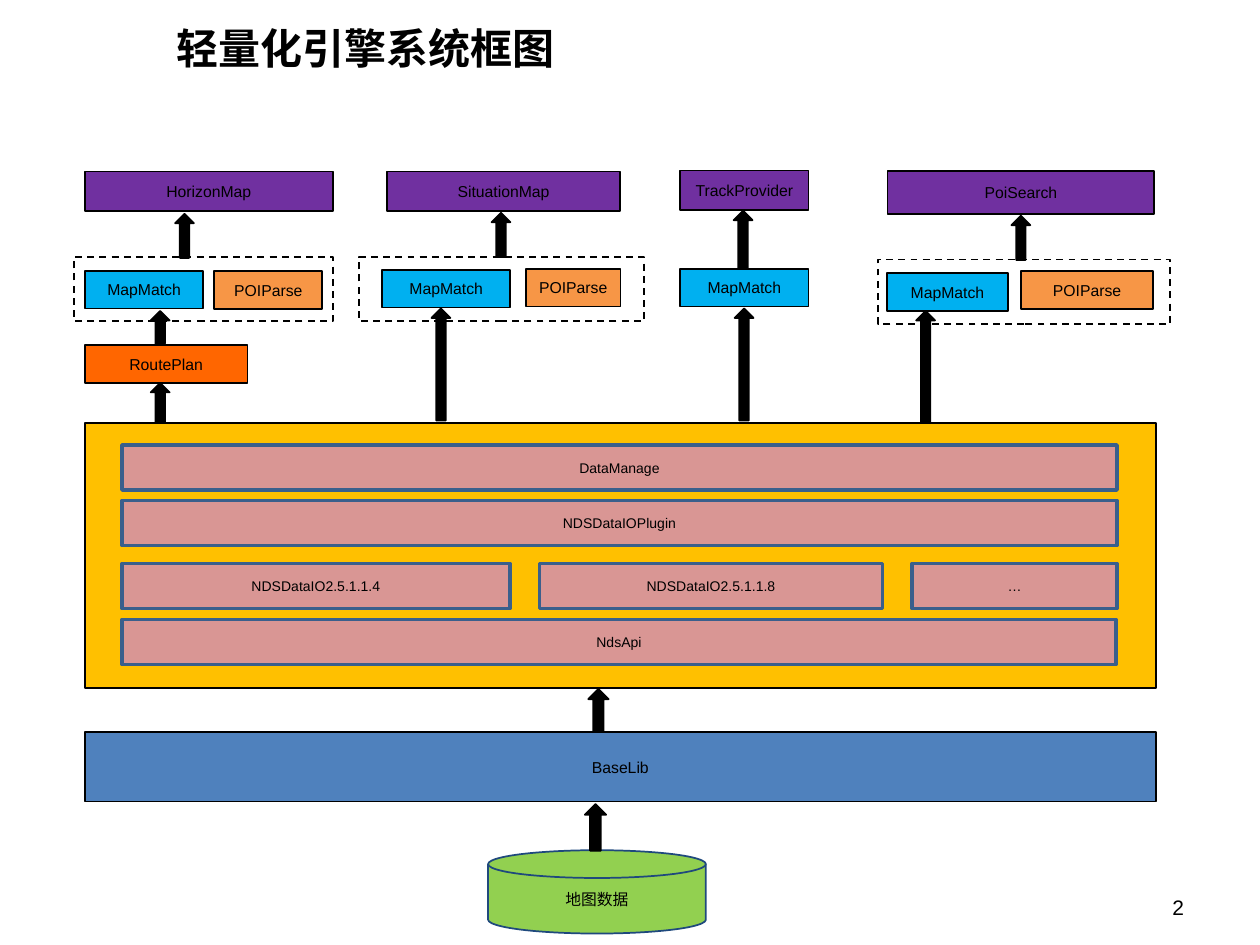
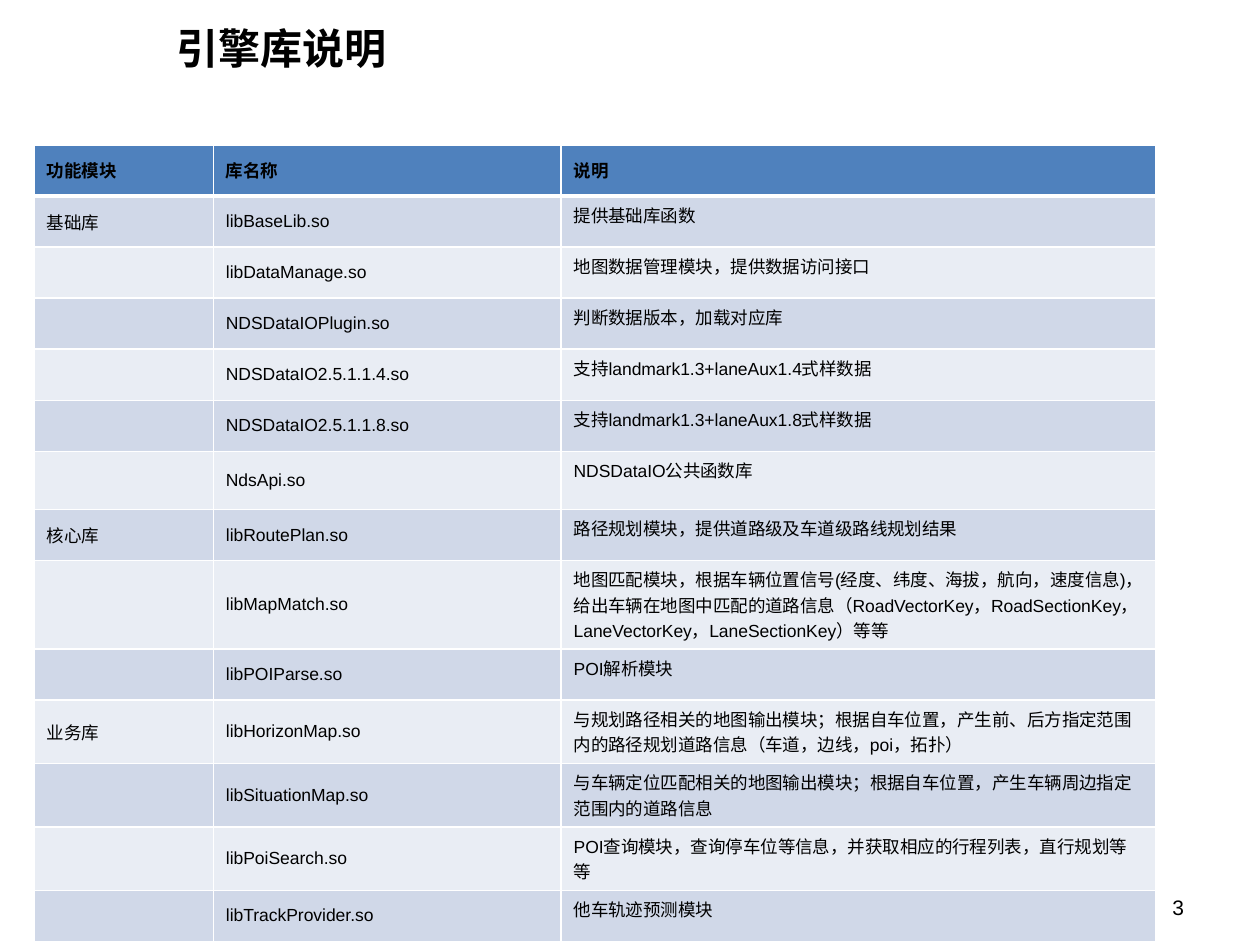
from dataclasses import dataclass
from lxml import etree
from pptx import Presentation, util as u
from pptx.dml.color import RGBColor
from pptx.enum import dml, shapes as sh, text as tx
from pptx.oxml.ns import qn


@dataclass(frozen=True)
class Theme:
    latin: str = "Arial"
    cjk: str = "Noto Sans CJK SC"
    ink: str = "000000"
    white: str = "FFFFFF"
    blue: str = "4F81BD"
    bands: tuple = ("D0D8E8", "E9EDF4")
    app: str = "7030A0"
    match: str = "00B0F0"
    poi: str = "F79646"
    route: str = "FF6600"
    frame: str = "FFC000"
    layer: str = "D99694"
    layer_edge: str = "3A5F8C"
    store: str = "92D050"
    store_edge: str = "1F497D"
    title_size: int = 24
    number_size: int = 12
    table_size: int = 10
    module_size: int = 9
    layer_size: int = 8


T = Theme()
TITLES = ["轻量化引擎系统框图", "引擎库说明"]

APPS = [
    ("HorizonMap", (1.71, 3.46, 5, 0.79)),
    ("SituationMap", (7.8, 3.46, 4.7, 0.79)),
    ("TrackProvider", (13.71, 3.44, 2.59, 0.79)),
    ("PoiSearch", (17.89, 3.45, 5.38, 0.86)),
]
MATCHERS = [(1.71, 5.46, 2.39), (7.7, 5.44, 2.59), (13.71, 5.42, 2.59), (17.88, 5.51, 2.44)]
PARSERS = [(4.32, 5.47, 2.18), (10.6, 5.42, 1.91), (20.58, 5.47, 2.67)]
ROUTE_PLAN = (1.71, 6.96, 3.28)
MODULE_HEIGHT = 0.76
DASHED_GROUPS = [(1.5, 5.18, 5.21), (7.24, 5.18, 5.74), (17.7, 5.23, 5.89)]
DASHED_HEIGHT = 1.3

FRAME = (1.71, 8.53, 21.59, 5.34)
BASE_LIB = (1.71, 14.76, 21.59, 1.4)
MAP_DATA = (9.84, 17.14, 4.39, 1.68)
LAYER_LEFT, LAYER_HEIGHT, LAYER_GAP = 2.46, 0.91, 0.6
LAYERS = [
    (8.97, [("DataManage", 20.06)]),
    (10.09, [("NDSDataIOPlugin", 20.06)]),
    (11.36, [("NDSDataIO2.5.1.1.4", 7.82), ("NDSDataIO2.5.1.1.8", 6.91), ("…", 4.13)]),
    (12.49, [("NdsApi", 20.04)]),
]
ARROW_WIDTH = 0.38
ARROWS = [
    (3.53, 4.31, 0.89), (9.91, 4.29, 0.89), (14.79, 4.25, 1.17), (20.39, 4.35, 0.89),
    (3.04, 7.72, 0.81), (3.04, 6.27, 0.66),
    (8.7, 6.22, 2.26), (14.81, 6.22, 2.26), (18.47, 6.27, 2.24),
]
BASE_ARROWS = [(11.79, 16.21, 0.43, 0.94), (11.86, 13.89, 0.41, 0.86)]

TABLE_AT = (0.69, 2.92)
COLUMN_WIDTHS = [3.61, 7.01, 11.99]
ROW_HEIGHT, TWO_LINE_HEIGHT, THREE_LINE_HEIGHT = 1.03, 1.28, 1.78
TALL_ROWS = {
    "NdsApi.so": 1.17,
    "libMapMatch.so": THREE_LINE_HEIGHT,
    "libHorizonMap.so": TWO_LINE_HEIGHT,
    "libSituationMap.so": TWO_LINE_HEIGHT,
    "libPoiSearch.so": TWO_LINE_HEIGHT,
}
HEADER = ("功能模块", "库名称", "说明")
LIBRARIES = {
    "基础库": [
        ("libBaseLib.so", "提供基础库函数"),
        ("libDataManage.so", "地图数据管理模块，提供数据访问接口"),
        ("NDSDataIOPlugin.so", "判断数据版本，加载对应库"),
        ("NDSDataIO2.5.1.1.4.so", "支持landmark1.3+laneAux1.4式样数据"),
        ("NDSDataIO2.5.1.1.8.so", "支持landmark1.3+laneAux1.8式样数据"),
        ("NdsApi.so", "NDSDataIO公共函数库"),
    ],
    "核心库": [
        ("libRoutePlan.so", "路径规划模块，提供道路级及车道级路线规划结果"),
        ("libMapMatch.so",
         "地图匹配模块，根据车辆位置信号(经度、纬度、海拔，航向，速度信息)，"
         "给出车辆在地图中匹配的道路信息（RoadVectorKey，RoadSectionKey，"
         "LaneVectorKey，LaneSectionKey）等等"),
        ("libPOIParse.so", "POI解析模块"),
    ],
    "业务库": [
        ("libHorizonMap.so",
         "与规划路径相关的地图输出模块；根据自车位置，产生前、后方指定范围内的"
         "路径规划道路信息（车道，边线，poi，拓扑）"),
        ("libSituationMap.so",
         "与车辆定位匹配相关的地图输出模块；根据自车位置，产生车辆周边指定范围内的道路信息"),
        ("libPoiSearch.so", "POI查询模块，查询停车位等信息，并获取相应的行程列表，直行规划等等"),
        ("libTrackProvider.so", "他车轨迹预测模块"),
    ],
}


def rgb(color):
    return RGBColor.from_string(color)


def place(part, left, top, width, height):
    part.left, part.top, part.width, part.height = map(u.Cm, (left, top, width, height))


def write(frame, words, size, bold=False, align=tx.PP_ALIGN.LEFT, font=T.latin):
    paragraph = frame.paragraphs[0]
    paragraph.alignment = align
    run = paragraph.add_run()
    run.text = words
    run.font.name, run.font.size, run.font.bold = font, u.Pt(size), bold
    run.font.color.rgb = rgb(T.ink)
    east_asian = etree.Element(qn("a:ea"), typeface=T.cjk)
    run.font._element.find(qn("a:latin")).addnext(east_asian)


def inset(frame, side, top):
    frame.margin_left = frame.margin_right = u.Cm(side)
    frame.margin_top = frame.margin_bottom = u.Cm(top)
    frame.word_wrap = True


def draw(parts, kind, at, fill=None, edge=T.ink, weight=1, words="", size=T.module_size):
    part = parts.add_shape(kind, *map(u.Cm, at))
    part.shadow.inherit = False
    if fill:
        part.fill.solid()
        part.fill.fore_color.rgb = rgb(fill)
    else:
        part.fill.background()
    part.line.color.rgb = rgb(edge)
    part.line.width = u.Pt(weight)
    if words:
        inset(part.text_frame, 0, 0)
        part.text_frame.vertical_anchor = tx.MSO_ANCHOR.MIDDLE
        write(part.text_frame, words, size, align=tx.PP_ALIGN.CENTER)
    return part


def new_slide(deck, title, number):
    slide = deck.slides.add_slide(deck.slide_layouts[5])
    heading = slide.shapes.title
    place(heading, 3.32, 0.2, 21.18, 1.52)
    inset(heading.text_frame, 0.23, 0.1)
    heading.text_frame.vertical_anchor = tx.MSO_ANCHOR.MIDDLE
    write(heading.text_frame, title, T.title_size, bold=True, font=T.cjk)
    page = slide.shapes.add_textbox(*map(u.Cm, (18.18, 17.93, 5.92, 0.74)))
    inset(page.text_frame, 0.23, 0.1)
    write(page.text_frame, str(number), T.number_size, align=tx.PP_ALIGN.RIGHT)
    return slide


def build_diagram(slide):
    parts = slide.shapes.add_group_shape().shapes
    box, arrow = sh.MSO_SHAPE.RECTANGLE, sh.MSO_SHAPE.UP_ARROW
    draw(parts, box, BASE_LIB, T.blue, words="BaseLib")
    draw(parts, sh.MSO_SHAPE.FLOWCHART_MAGNETIC_DISK, MAP_DATA, T.store, T.store_edge,
         words="地图数据")
    draw(parts, box, FRAME, T.frame)
    for top, row in LAYERS:
        left = LAYER_LEFT
        for label, width in row:
            draw(parts, box, (left, top, width, LAYER_HEIGHT), T.layer, T.layer_edge, 2,
                 label, T.layer_size)
            left += width + LAYER_GAP
    for label, at in APPS:
        draw(parts, box, at, T.app, words=label)
    modules = [("MapMatch", T.match, MATCHERS), ("POIParse", T.poi, PARSERS),
               ("RoutePlan", T.route, [ROUTE_PLAN])]
    for label, fill, spots in modules:
        for spot in spots:
            draw(parts, box, (*spot, MODULE_HEIGHT), fill, words=label)
    for spot in DASHED_GROUPS:
        outline = draw(parts, box, (*spot, DASHED_HEIGHT))
        outline.line.dash_style = dml.MSO_LINE.DASH
    flows = [(left, top, ARROW_WIDTH, height) for left, top, height in ARROWS]
    for at in flows + BASE_ARROWS:
        draw(parts, arrow, at, T.ink)


def style_cell(cell, fill, bottom=1):
    properties = cell._tc.get_or_add_tcPr()
    for side, weight in zip("LRTB", (1, 1, 1, bottom)):
        edge = etree.SubElement(properties, qn("a:ln" + side), w=str(u.Pt(weight)))
        paint = etree.SubElement(edge, qn("a:solidFill"))
        etree.SubElement(paint, qn("a:srgbClr"), val=T.white)
    cell.fill.solid()
    cell.fill.fore_color.rgb = rgb(fill)


def build_table(slide):
    rows = [HEADER]
    for module, entries in LIBRARIES.items():
        rows += [(module if i == 0 else "", *entry) for i, entry in enumerate(entries)]
    heights = [TALL_ROWS.get(library, ROW_HEIGHT) for _, library, _ in rows]
    size = (sum(COLUMN_WIDTHS), sum(heights))
    table = slide.shapes.add_table(len(rows), len(HEADER), *map(u.Cm, TABLE_AT + size)).table
    for column, width in zip(table.columns, COLUMN_WIDTHS):
        column.width = u.Cm(width)
    for r, (row, height) in enumerate(zip(rows, heights)):
        table.rows[r].height = u.Cm(height)
        header = r == 0
        for c, words in enumerate(row):
            cell = table.cell(r, c)
            style_cell(cell, T.blue if header else T.bands[(r - 1) % 2], 3 if header else 1)
            top = c == 2 and not header
            cell.vertical_anchor = tx.MSO_ANCHOR.TOP if top else tx.MSO_ANCHOR.MIDDLE
            if words:
                library = c == 1 and not header
                write(cell.text_frame, words, T.table_size, bold=header,
                      align=tx.PP_ALIGN.JUSTIFY if library else tx.PP_ALIGN.LEFT)


deck = Presentation()
deck.slide_width, deck.slide_height = u.Cm(25.4), u.Cm(19.05)
for number, (title, build) in enumerate(zip(TITLES, (build_diagram, build_table)), 2):
    build(new_slide(deck, title, number))
deck.save("out.pptx")
